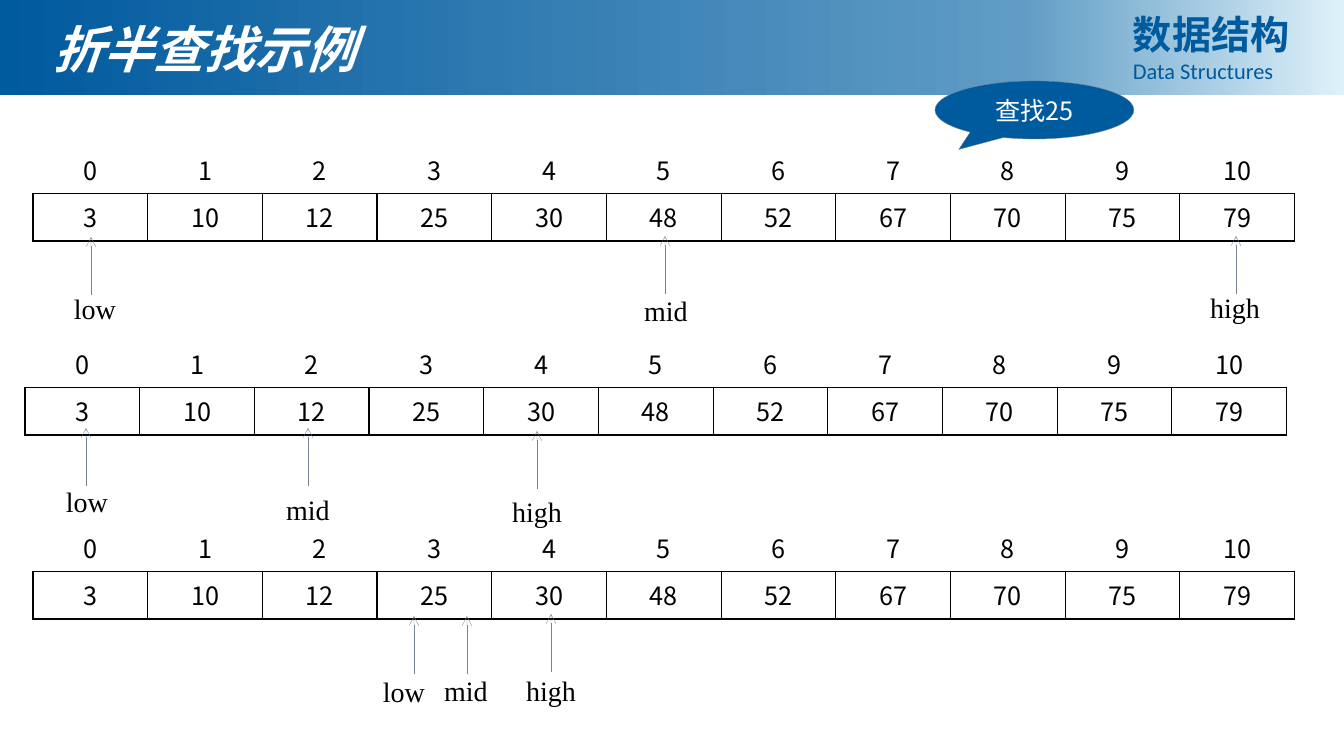
import pptx
import pptx.util
import pptx.dml.color
import pptx.enum.shapes
import pptx.enum.text
import pptx.oxml.ns
import lxml.etree

RGB = pptx.dml.color.RGBColor
BLUE = RGB(0x00, 0x5A, 0x9E)
SKY = RGB(0x60, 0x9C, 0xC5)
PALE = RGB(0xDE, 0xF1, 0xF9)
GREY = RGB(0x77, 0x84, 0x95)
BLACK = RGB(0, 0, 0)
WHITE = RGB(255, 255, 255)
SANS = "Noto Sans CJK SC"
SERIF = "Times New Roman"
PLAIN = "{2D5ABB26-0587-4C30-8999-92F81FD0307C}"  # no style, no grid

TITLE = "折半查找示例"
COURSE = [("数据结构", 28, SANS, True), ("Data Structures", 16, "Calibri", False)]
TARGET = "查找25"
KEYS = [3, 10, 12, 25, 30, 48, 52, 67, 70, 75, 79]
FADE = [(0, BLUE), (76, SKY), (100, PALE)]
# left and top of the array, then marks: name, arrow x, tip y, label left, label top
STAGES = [
    (33, 146, [("low", 91, 237, 25, 287), ("mid", 665, 236, 596, 289),
               ("high", 1236, 236, 1165, 286)]),
    (25, 340, [("low", 86, 428, 17, 480), ("mid", 308, 428, 238, 488),
               ("high", 537, 431, 467, 490)]),
    (33, 524, [("low", 414, 616, 334, 670), ("mid", 467, 616, 396, 669),
               ("high", 551, 614, 481, 669)]),
]
WIDE, HIGH = 1344, 756
ARRAY = (1262, 95)
LABEL = (140, 44)
ARROW = 58

ALIGN = pptx.enum.text.PP_ALIGN
MIDDLE = pptx.enum.text.MSO_ANCHOR.MIDDLE
SHAPE = pptx.enum.shapes.MSO_SHAPE
qn = pptx.oxml.ns.qn


def px(*sizes):
    return [round(size * 914400 / 100.8) for size in sizes]


def sub(parent, tag, **attrs):
    return lxml.etree.SubElement(parent, qn(tag), attrs)


def write(frame, text, size, face=SANS, color=BLACK, align=ALIGN.CENTER,
          bold=False, italic=False):
    """Fill the empty first paragraph, or add one more."""
    para = frame.paragraphs[0] if not frame.text else frame.add_paragraph()
    para.alignment = align
    run = para.add_run()
    run.text = text
    font = run.font
    font.name, font.size = face, pptx.util.Pt(size)
    font.bold, font.italic = bold, italic
    font.color.rgb = color
    sub(run._r.get_or_add_rPr(), "a:ea", typeface=SANS)


def add_box(slide, *place):
    frame = slide.shapes.add_textbox(*px(*place)).text_frame
    frame.word_wrap = True
    return frame


def add_form(slide, kind, *place):
    form = slide.shapes.add_shape(kind, *px(*place))
    form.shadow.inherit = False
    return form


def add_band(slide):
    band = add_form(slide, SHAPE.RECTANGLE, 0, 0, WIDE, 95)
    band.line.fill.background()
    band.fill.gradient()
    band.fill.gradient_angle = 0
    stops = band._element.spPr.find(".//" + qn("a:gsLst"))
    for stop in list(stops):
        stops.remove(stop)
    for share, color in FADE:
        stop = sub(stops, "a:gs", pos=str(share * 1000))
        sub(stop, "a:srgbClr", val=str(color))
    slide.shapes._spTree.insert(2, band._element)  # behind the title


def add_head(slide):
    title = slide.shapes.title
    title.left, title.top, title.width, title.height = px(43, 12, 569, 72)
    title.text_frame.vertical_anchor = MIDDLE
    write(title.text_frame, TITLE, 36, SERIF, WHITE, ALIGN.LEFT, True, True)
    course = add_box(slide, 1123, 5, 193, 85)
    for text, size, face, bold in COURSE:
        write(course, text, size, face, BLUE, ALIGN.JUSTIFY, bold)


def add_edge(cell, sides):
    props = cell._tc.get_or_add_tcPr()
    for side in sides:
        edge = sub(props, "a:ln" + side, w="12700")
        sub(sub(edge, "a:solidFill"), "a:srgbClr", val=str(BLACK))


def add_array(slide, left, top):
    count = len(KEYS)
    table = slide.shapes.add_table(2, count, *px(left, top, *ARRAY)).table
    table.first_row = table.horz_banding = False
    table._tbl.tblPr.find(qn("a:tableStyleId")).text = PLAIN
    for row in table.rows:
        row.height = px(ARRAY[1] / 2)[0]
    for col in table.columns:
        col.width = px(ARRAY[0] / count)[0]
    for r, (values, sides) in enumerate([(range(count), "B"), (KEYS, "LRTB")]):
        for c, value in enumerate(values):
            cell = table.cell(r, c)
            write(cell.text_frame, str(value), 18)
            add_edge(cell, sides)
            cell.fill.background()


def add_mark(slide, name, x, tip, left, top):
    line = slide.shapes.add_connector(
        pptx.enum.shapes.MSO_CONNECTOR.STRAIGHT, *px(x, tip + ARROW, x, tip))
    line.line.color.rgb = GREY
    line.line.width = pptx.util.Pt(0.25)
    sub(line.line._get_or_add_ln(), "a:tailEnd", type="arrow")
    sub(line._element.spPr, "a:effectLst")
    write(add_box(slide, left, top, *LABEL), name, 20, SERIF)


def add_call(slide):
    call = add_form(slide, SHAPE.OVAL_CALLOUT, 935, 81, 199, 58)
    call.adjustments[0], call.adjustments[1] = -0.38, 0.68
    call.fill.solid()
    call.fill.fore_color.rgb = BLUE
    call.line.color.rgb = GREY
    call.line.width = pptx.util.Pt(0.25)
    call.text_frame.vertical_anchor = MIDDLE
    write(call.text_frame, TARGET, 18, color=WHITE)


def main():
    deck = pptx.Presentation()
    deck.slide_width, deck.slide_height = px(WIDE, HIGH)
    slide = deck.slides.add_slide(deck.slide_layouts[5])
    add_band(slide)
    add_head(slide)
    for left, top, marks in STAGES:
        add_array(slide, left, top)
        for mark in marks:
            add_mark(slide, *mark)
    add_call(slide)
    deck.save("out.pptx")


if __name__ == "__main__":
    main()
